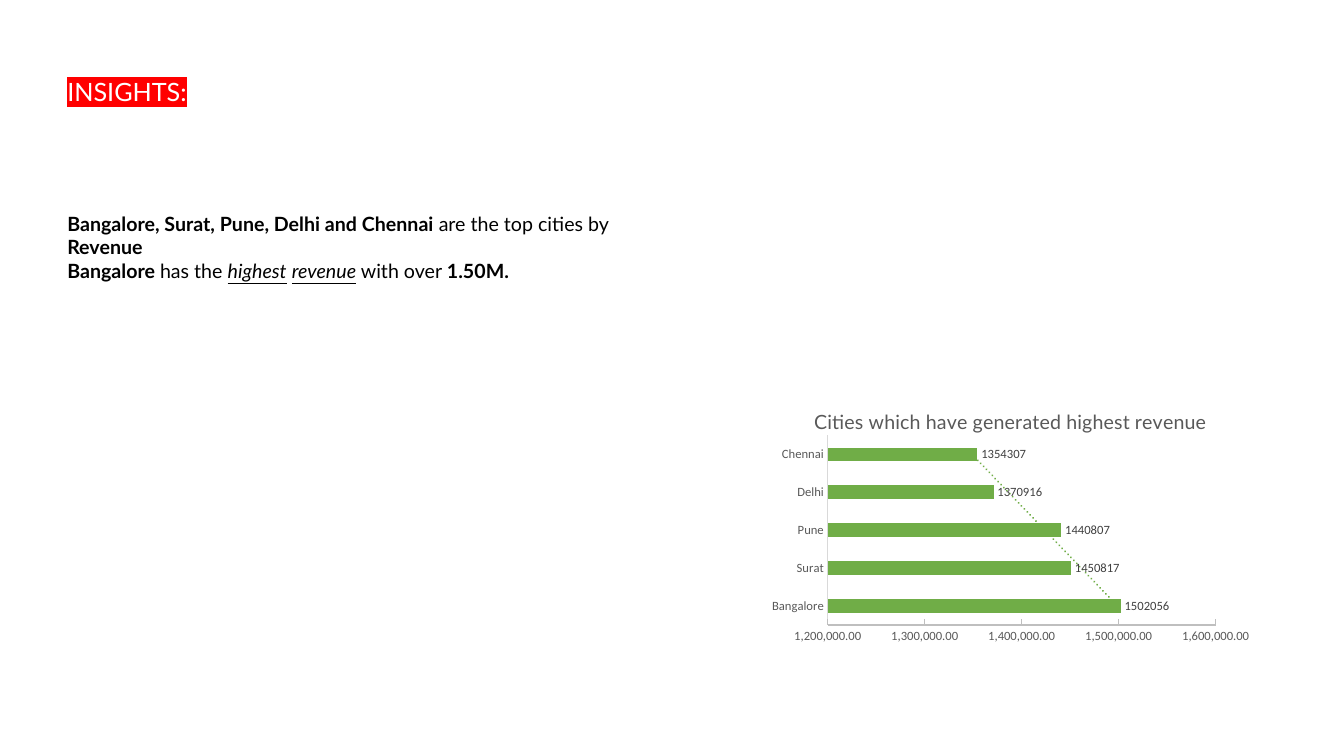
from dataclasses import dataclass

from lxml.etree import SubElement
from pptx import Presentation
from pptx.chart.data import CategoryChartData
from pptx.dml.color import RGBColor as Rgb
from pptx.enum.chart import XL_CHART_TYPE as ChartType
from pptx.enum.chart import XL_LABEL_POSITION as LabelPosition
from pptx.enum.chart import XL_TICK_MARK as TickMark
from pptx.oxml import parse_xml
from pptx.oxml.ns import nsdecls, qn
from pptx.util import Pt


@dataclass(frozen=True)
class Theme:
    text_font: str = "Lato"
    chart_font: str = "Calibri"
    heading_size: int = 18
    body_size: int = 14
    chart_size: int = 10
    label_size: int = 9
    white: str = "FFFFFF"
    black: str = "000000"
    highlight: str = "FF0000"
    bar: str = "70AD47"
    axis_text: str = "595959"
    label_text: str = "404040"
    category_line: str = "D9D9D9"
    value_line: str = "BFBFBF"


class InsightSlide:
    def __init__(self, slide, theme):
        self.slide = slide
        self.theme = theme

    def style(self, font, size, color, name):
        font.name = name
        font.size = Pt(size)
        font.color.rgb = Rgb.from_string(color)

    def text(self, box, paragraphs, size, color, highlight=None):
        frame = self.slide.shapes.add_textbox(*map(Pt, box)).text_frame
        frame.word_wrap = True
        for position, pieces in enumerate(paragraphs):
            paragraph = frame.add_paragraph() if position else frame.paragraphs[0]
            for words, marks in pieces:
                run = paragraph.add_run()
                run.text = words
                run.font.bold = "b" in marks
                run.font.italic = run.font.underline = "i" in marks
                self.style(run.font, size, color, self.theme.text_font)
                if highlight:
                    fill = run.font._element.find(qn("a:solidFill"))
                    fill.addnext(parse_xml(
                        f'<a:highlight {nsdecls("a")}><a:srgbClr val="{highlight}"/></a:highlight>'))

    def place(self, part, index, **fractions):
        old = part.find(qn("c:layout"))
        if old is not None:
            part.remove(old)
        layout = parse_xml(f'<c:layout {nsdecls("c")}><c:manualLayout/></c:layout>')
        for tag, value in fractions.items():
            SubElement(layout[0], qn(f"c:{tag}")).set("val", str(value))
        part.insert(index, layout)

    def axis(self, axis, tick, line):
        axis.has_major_gridlines = False
        axis.major_tick_mark = tick
        axis.minor_tick_mark = TickMark.NONE
        axis.format.line.color.rgb = Rgb.from_string(line)
        axis.format.line.width = Pt(0.75)
        self.style(axis.tick_labels.font, self.theme.label_size,
                   self.theme.axis_text, self.theme.chart_font)

    def trend(self, series):
        series._element.find(qn("c:cat")).addprevious(parse_xml(
            f'<c:trendline {nsdecls("c", "a")}><c:spPr><a:ln w="{Pt(1.5)}" cap="rnd">'
            f'<a:solidFill><a:srgbClr val="{self.theme.bar}"/></a:solidFill>'
            '<a:prstDash val="sysDot"/></a:ln></c:spPr><c:trendlineType val="linear"/>'
            '<c:dispRSqr val="0"/><c:dispEq val="0"/></c:trendline>'))

    def bar_chart(self, box, title, revenue):
        theme = self.theme
        data = CategoryChartData()
        data.categories = list(revenue)
        data.add_series("Series 1", list(revenue.values()))
        chart = self.slide.shapes.add_chart(
            ChartType.BAR_CLUSTERED, *map(Pt, box), data).chart
        self.style(chart.font, theme.chart_size, theme.black, theme.chart_font)
        chart.has_legend = False
        chart.has_title = True
        heading = chart.chart_title.text_frame.paragraphs[0].add_run()
        heading.text = title
        heading.font.bold = False
        self.style(heading.font, theme.body_size, theme.axis_text, theme.text_font)
        self.place(chart.chart_title._element, 1, xMode="edge", yMode="edge", x=0.12, y=0.05)
        self.place(chart._chartSpace.chart.plotArea, 0, layoutTarget="inner",
                   xMode="edge", yMode="edge", x=0.153, y=0.148, w=0.743, h=0.594)

        self.axis(chart.category_axis, TickMark.NONE, theme.category_line)
        amounts = chart.value_axis
        self.axis(amounts, TickMark.INSIDE, theme.value_line)
        amounts.minimum_scale = 1200000
        amounts.maximum_scale = 1600000
        amounts.major_unit = 100000
        amounts.tick_labels.number_format = "#,##0.00"
        amounts.tick_labels.number_format_is_linked = False

        plot = chart.plots[0]
        plot.gap_width = 182
        plot.vary_by_categories = False
        cities = plot.series[0]
        cities.format.fill.solid()
        cities.format.fill.fore_color.rgb = Rgb.from_string(theme.bar)
        labels = cities.data_labels
        labels.show_value = True
        labels.position = LabelPosition.OUTSIDE_END
        self.style(labels.font, theme.label_size, theme.label_text, theme.chart_font)
        self.trend(cities)


def main():
    deck = Presentation()
    deck.slide_width, deck.slide_height = Pt(960), Pt(540)
    theme = Theme()
    insights = InsightSlide(deck.slides.add_slide(deck.slide_layouts[6]), theme)

    insights.text((41, 51, 480, 29), [[("INSIGHTS:", "")]],
                  theme.heading_size, theme.white, theme.highlight)
    findings = [
        [("Bangalore, Surat, Pune, Delhi and Chennai ", "b"),
         ("are the top cities by ", ""), ("Revenue", "b")],
        [("Bangalore ", "b"), ("has the ", ""), ("highest", "i"), (" ", ""),
         ("revenue", "i"), (" with over ", ""), ("1.50M.", "b")],
    ]
    insights.text((41, 147.6, 447, 75), findings, theme.body_size, theme.black)

    revenue = {"Bangalore": 1502056, "Surat": 1450817, "Pune": 1440807,
               "Delhi": 1370916, "Chennai": 1354307}
    insights.bar_chart((534.2, 277.2, 373, 228.2),
                       "Cities which have generated highest revenue", revenue)
    deck.save("out.pptx")


if __name__ == "__main__":
    main()
